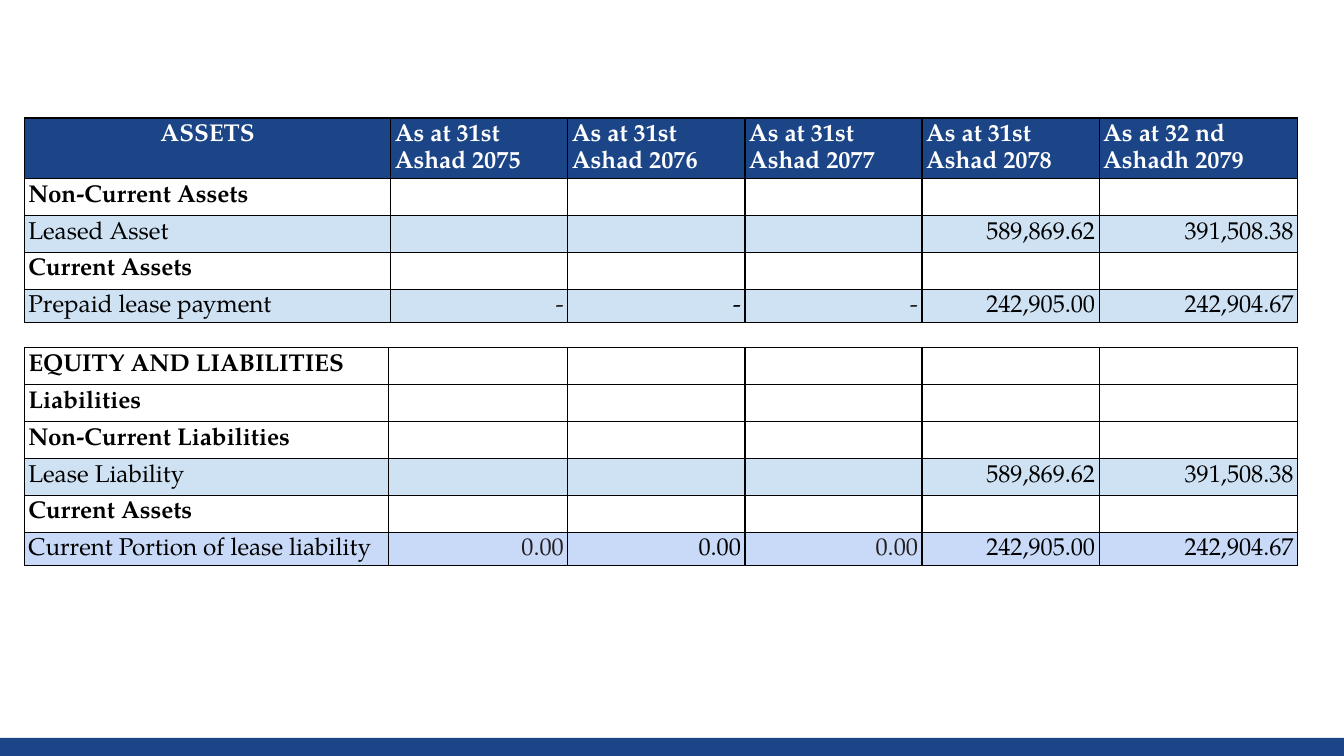
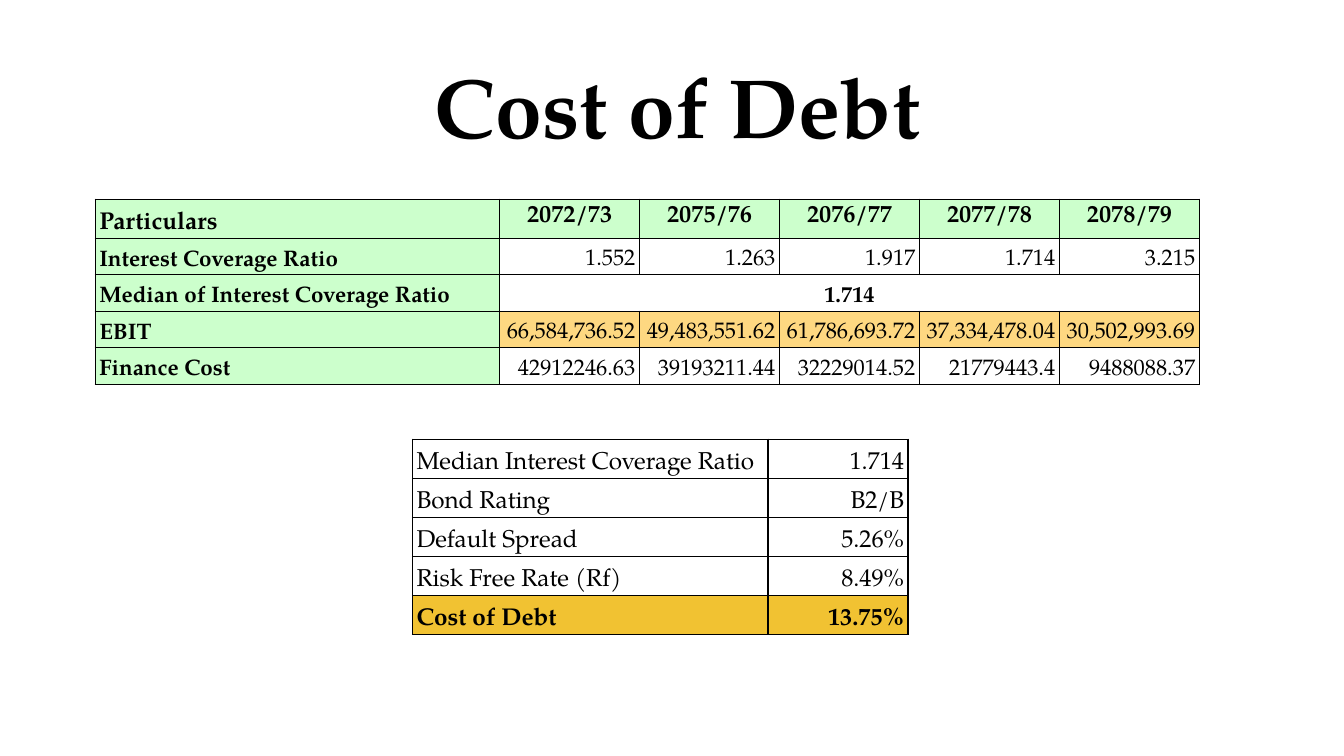
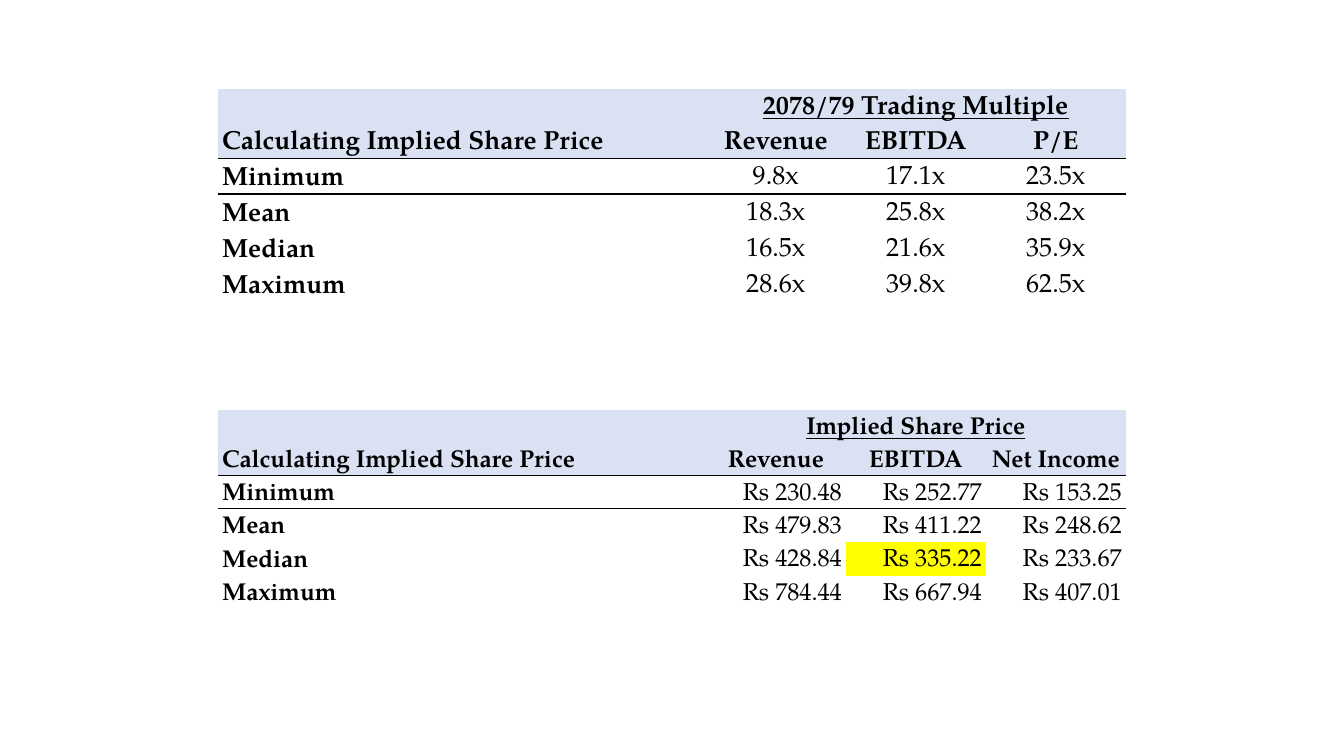
from dataclasses import dataclass, replace

from lxml import etree
from pptx import Presentation
from pptx.dml.color import RGBColor
from pptx.enum.shapes import MSO_SHAPE
from pptx.enum.text import MSO_ANCHOR, PP_ALIGN
from pptx.oxml.ns import qn
from pptx.util import Pt

RECTANGLE = MSO_SHAPE.RECTANGLE
TOP, BOTTOM = MSO_ANCHOR.TOP, MSO_ANCHOR.BOTTOM
LEFT, CENTER, RIGHT = PP_ALIGN.LEFT, PP_ALIGN.CENTER, PP_ALIGN.RIGHT

FONT = "TeX Gyre Pagella"
NAVY, BLACK, CHARCOAL, WHITE = "1C4587", "000000", "231F20", "FFFFFF"
SKY, PERIWINKLE, LAVENDER = "CFE2F3", "C9DAF8", "D9E1F2"
MINT, PEACH, GOLD, YELLOW = "CCFFCC", "FED881", "F1C232", "FFFF00"

PLAIN_TABLE_STYLE = "{2D5ABB26-0587-4C30-8999-92F81FD0307C}"
ALL_SIDES = ("L", "R", "T", "B")
BOX_MARGINS = dict.fromkeys(
    ("margin_left", "margin_right", "margin_top", "margin_bottom"), Pt(7.2))


@dataclass(frozen=True)
class Look:
    fill: str | None = None
    bold: bool = False
    underline: bool = False
    align: PP_ALIGN = LEFT
    anchor: MSO_ANCHOR = TOP
    size: float = 13
    color: str = BLACK
    sides: tuple[str, ...] = ALL_SIDES
    border: float = 0.75
    spacing: float = 1.15
    padding: float = 1.4


@dataclass(frozen=True)
class Cell:
    text: str
    look: Look
    span: int = 1


@dataclass(frozen=True)
class Grid:
    left: float
    top: float
    widths: list[float]
    heights: list[float]
    rows: list[list[Cell]]


def rgb(value: str) -> RGBColor:
    return RGBColor.from_string(value)


def apply(target, values: dict) -> None:
    for name, value in values.items():
        setattr(target, name, value)


def write(para, text: str, look: Look) -> None:
    para.alignment = look.align
    if not text:
        para._p.get_or_add_endParaRPr().set("sz", "600")
        return
    span = para.add_run()
    span.text = text
    apply(span.font, {"name": FONT, "size": Pt(look.size), "bold": look.bold,
                      "underline": look.underline})
    span.font.color.rgb = rgb(look.color)


def draw_border(cell, side: str, width: float) -> None:
    properties = cell._tc.get_or_add_tcPr()
    line = etree.SubElement(properties, qn(f"a:ln{side}"), w=str(Pt(width)))
    fill = etree.SubElement(line, qn("a:solidFill"))
    etree.SubElement(fill, qn("a:srgbClr"), val=BLACK)


def format_cell(cell, text: str, look: Look) -> None:
    apply(cell, {"margin_left": Pt(2.2), "margin_right": Pt(2.2),
                 "margin_top": Pt(look.padding), "margin_bottom": Pt(look.padding),
                 "vertical_anchor": look.anchor})
    for side in look.sides:
        draw_border(cell, side, look.border)
    if look.fill:
        cell.fill.solid()
        cell.fill.fore_color.rgb = rgb(look.fill)
    else:
        cell.fill.background()
    para = cell.text_frame.paragraphs[0]
    para.line_spacing = look.spacing
    write(para, text, look)


def draw_grid(page, grid: Grid) -> None:
    table = page.shapes.add_table(
        len(grid.heights), len(grid.widths), Pt(grid.left), Pt(grid.top),
        Pt(sum(grid.widths)), Pt(sum(grid.heights))).table
    apply(table, {"first_row": False, "horz_banding": False})
    table._tbl.tblPr.find(qn("a:tableStyleId")).text = PLAIN_TABLE_STYLE
    for column, width in zip(table.columns, grid.widths):
        column.width = Pt(width)
    for row, height in zip(table.rows, grid.heights):
        row.height = Pt(height)
    for row_index, cells in enumerate(grid.rows):
        start = 0
        for entry in cells:
            end = start + entry.span
            for index in range(start, end):
                format_cell(table.cell(row_index, index),
                            entry.text if index == start else "", entry.look)
            if entry.span > 1:
                table.cell(row_index, start).merge(table.cell(row_index, end - 1))
            start = end


def line(label: str, values: list[str], label_look: Look, value_look: Look) -> list[Cell]:
    return [Cell(label, label_look)] + [Cell(value, value_look) for value in values]


def draw_title(page, text: str) -> None:
    box = page.shapes.add_textbox(Pt(27.4), Pt(21.8), Pt(671), Pt(49.7))
    apply(box.text_frame, {**BOX_MARGINS, "word_wrap": True, "vertical_anchor": TOP})
    write(box.text_frame.paragraphs[0], text, Look(bold=True, align=CENTER, size=45))


def draw_footer_band(page) -> None:
    band = page.shapes.add_shape(RECTANGLE, Pt(0), Pt(395.3), Pt(720), Pt(9.7))
    band.shadow.inherit = False
    band.fill.solid()
    band.fill.fore_color.rgb = rgb(NAVY)
    band.line.fill.background()


def lease_heading(label: str) -> list[Cell]:
    heading = Look(bold=True)
    return line(label, [""] * 5, heading, heading)


def lease_amounts(label: str, past: str, amounts: list[str], fill: str) -> list[Cell]:
    """Three past years alike, the first and third in charcoal, then two amounts."""
    value = Look(fill, align=RIGHT)
    cells = line(label, [past] * 3 + amounts, Look(fill), value)
    for index in (1, 3):
        cells[index] = Cell(past, replace(value, color=CHARCOAL))
    return cells


def build_lease_page(page) -> None:
    header = Look(NAVY, bold=True, color=WHITE)
    dates = ["As at 31st Ashad 2075", "As at 31st Ashad 2076", "As at 31st Ashad 2077",
             "As at 31st Ashad 2078", "As at 32 nd Ashadh 2079"]
    leased = ["589,869.62", "391,508.38"]
    payable = ["242,905.00", "242,904.67"]
    draw_grid(page, Grid(
        13, 63.2, [196.3] + [94.9] * 4 + [106.3], [32.4] + [19.8] * 3 + [17.8],
        [line("ASSETS", dates, replace(header, align=CENTER), header),
         lease_heading("Non-Current Assets"),
         lease_amounts("Leased Asset", "", leased, SKY),
         lease_heading("Current Assets"),
         lease_amounts("Prepaid lease payment", "-", payable, SKY)]))
    draw_grid(page, Grid(
        13, 186.2, [195.2, 96] + [94.9] * 3 + [106.3], [19.8] * 5 + [17.8],
        [lease_heading("EQUITY AND LIABILITIES"),
         lease_heading("Liabilities"),
         lease_heading("Non-Current Liabilities"),
         lease_amounts("Lease Liability", "", leased, SKY),
         lease_heading("Current Assets"),
         lease_amounts("Current Portion of lease liability", "0.00", payable, PERIWINKLE)]))
    draw_footer_band(page)


def build_debt_page(page) -> None:
    base = Look(anchor=BOTTOM, border=0.8)
    label = replace(base, fill=MINT, bold=True, size=12)
    value = replace(base, align=RIGHT, size=12)
    header = replace(label, size=13)
    years = ["2072/73", "2075/76", "2076/77", "2077/78", "2078/79"]
    coverage = ["1.552", "1.263", "1.917", "1.714", "3.215"]
    ebit = ["66,584,736.52", "49,483,551.62", "61,786,693.72",
            "37,334,478.04", "30,502,993.69"]
    finance = ["42912246.63", "39193211.44", "32229014.52", "21779443.4", "9488088.37"]
    median = Cell("1.714", replace(value, bold=True, align=CENTER), 5)
    draw_grid(page, Grid(
        51, 106.8, [216.7] + [75] * 5, [20.9] + [19.55] * 4,
        [line("Particulars", years, header, replace(header, align=CENTER, anchor=TOP)),
         line("Interest Coverage Ratio", coverage, label, value),
         [Cell("Median of Interest Coverage Ratio", label), median],
         line("EBIT", ebit, label, replace(value, fill=PEACH)),
         line("Finance Cost", finance, label, value)]))

    steps = [("Median Interest Coverage Ratio", "1.714"), ("Bond Rating", "B2/B"),
             ("Default Spread", "5.26%"), ("Risk Free Rate (Rf)", "8.49%")]
    total = replace(base, fill=GOLD, bold=True)
    draw_grid(page, Grid(
        221, 235.3, [190.5, 75], [20.95] * 5,
        [line(name, [result], base, replace(base, align=RIGHT)) for name, result in steps]
        + [line("Cost of Debt", ["13.75%"], total, replace(total, align=RIGHT))]))
    draw_title(page, "Cost of Debt")


def share_price_grid(top: float, size: float, heights: list[float], title: str,
                     measures: list[str], results: dict[str, list[str]],
                     align: PP_ALIGN, highlight: str = "") -> Grid:
    """Shaded two-row heading over results, ruled below the heading and first result."""
    base = Look(anchor=BOTTOM, size=size, sides=(), spacing=1, padding=1.1)
    heading = replace(base, fill=LAVENDER, bold=True, align=CENTER)
    banner = replace(heading, underline=True, padding=0.5)
    ruled = replace(heading, sides=("B",))
    rows = [
        [Cell("", heading), Cell("", heading), Cell(title, banner, 3)],
        [Cell("Calculating Implied Share Price", replace(ruled, align=LEFT), 2)]
        + [Cell(measure, ruled) for measure in measures],
    ]
    for index, (name, values) in enumerate(results.items()):
        label = replace(base, bold=True, sides=("B",) if index == 0 else ())
        value = replace(label, bold=False, align=align)
        rows.append([Cell(name, label), Cell("", label)] + [
            Cell(text, replace(value, fill=YELLOW if text == highlight else None))
            for text in values])
    return Grid(116.8, top, [75, 186.4, 75, 75, 75], heights, rows)


def build_share_price_page(page) -> None:
    multiples = {"Minimum": ["9.8x", "17.1x", "23.5x"],
                 "Mean": ["18.3x", "25.8x", "38.2x"],
                 "Median": ["16.5x", "21.6x", "35.9x"],
                 "Maximum": ["28.6x", "39.8x", "62.5x"]}
    prices = {"Minimum": ["Rs 230.48", "Rs 252.77", "Rs 153.25"],
              "Mean": ["Rs 479.83", "Rs 411.22", "Rs 248.62"],
              "Median": ["Rs 428.84", "Rs 335.22", "Rs 233.67"],
              "Maximum": ["Rs 784.44", "Rs 667.94", "Rs 407.01"]}
    draw_grid(page, share_price_grid(
        47.6, 14, [17.9] + [19.25] * 5, "2078/79 Trading Multiple",
        ["Revenue", "EBITDA", "P/E"], multiples, CENTER))
    draw_grid(page, share_price_grid(
        219.6, 13, [17.2] + [17.9] * 5, "Implied Share Price",
        ["Revenue", "EBITDA", "Net Income"], prices, RIGHT, "Rs 335.22"))


def main() -> None:
    deck = Presentation()
    apply(deck, {"slide_width": Pt(720), "slide_height": Pt(405)})
    blank = deck.slide_layouts[6]
    for build in (build_lease_page, build_debt_page, build_share_price_page):
        build(deck.slides.add_slide(blank))
    deck.save("out.pptx")


if __name__ == "__main__":
    main()
